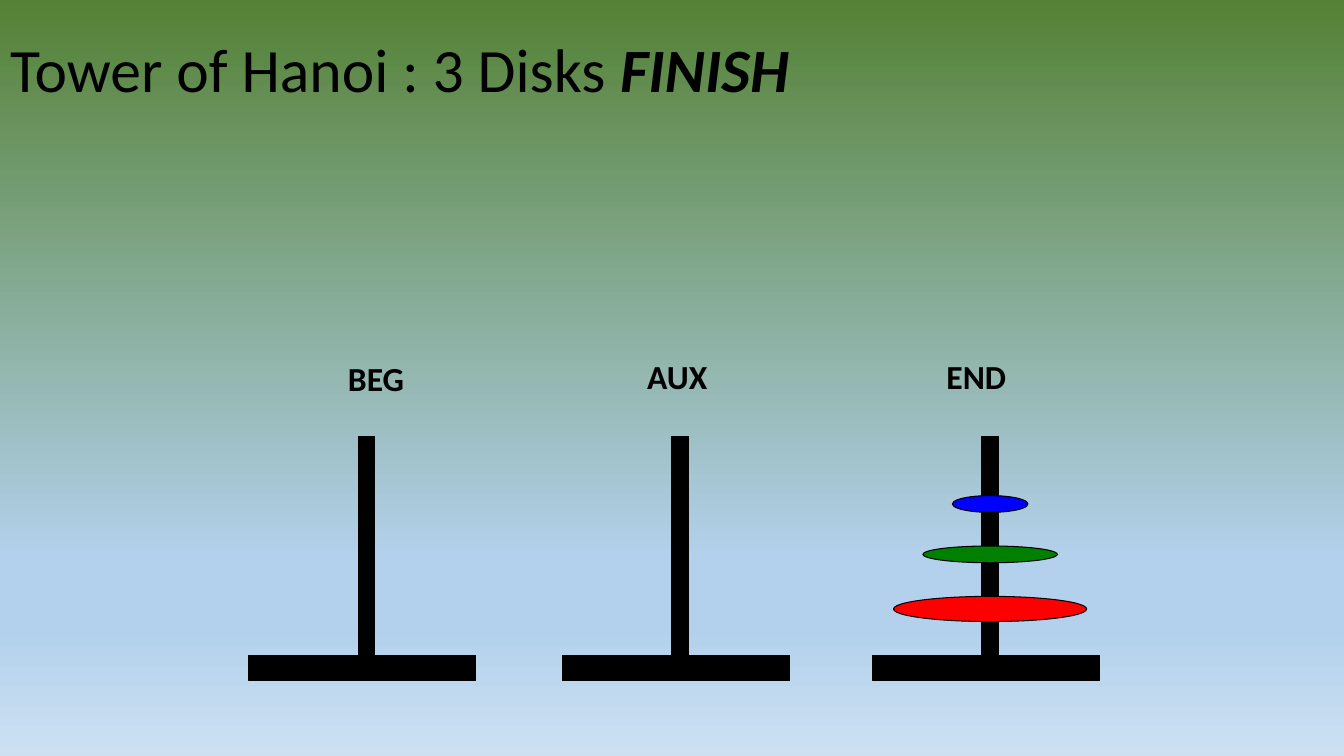
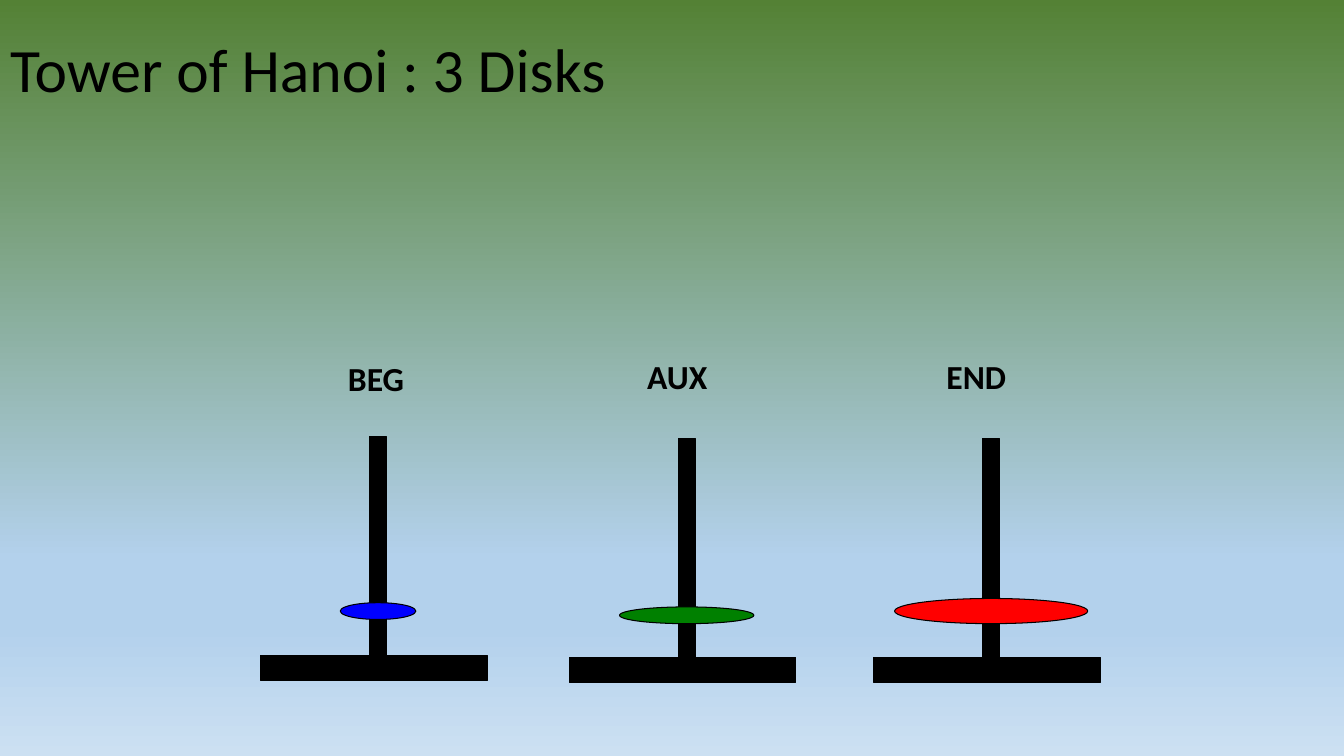
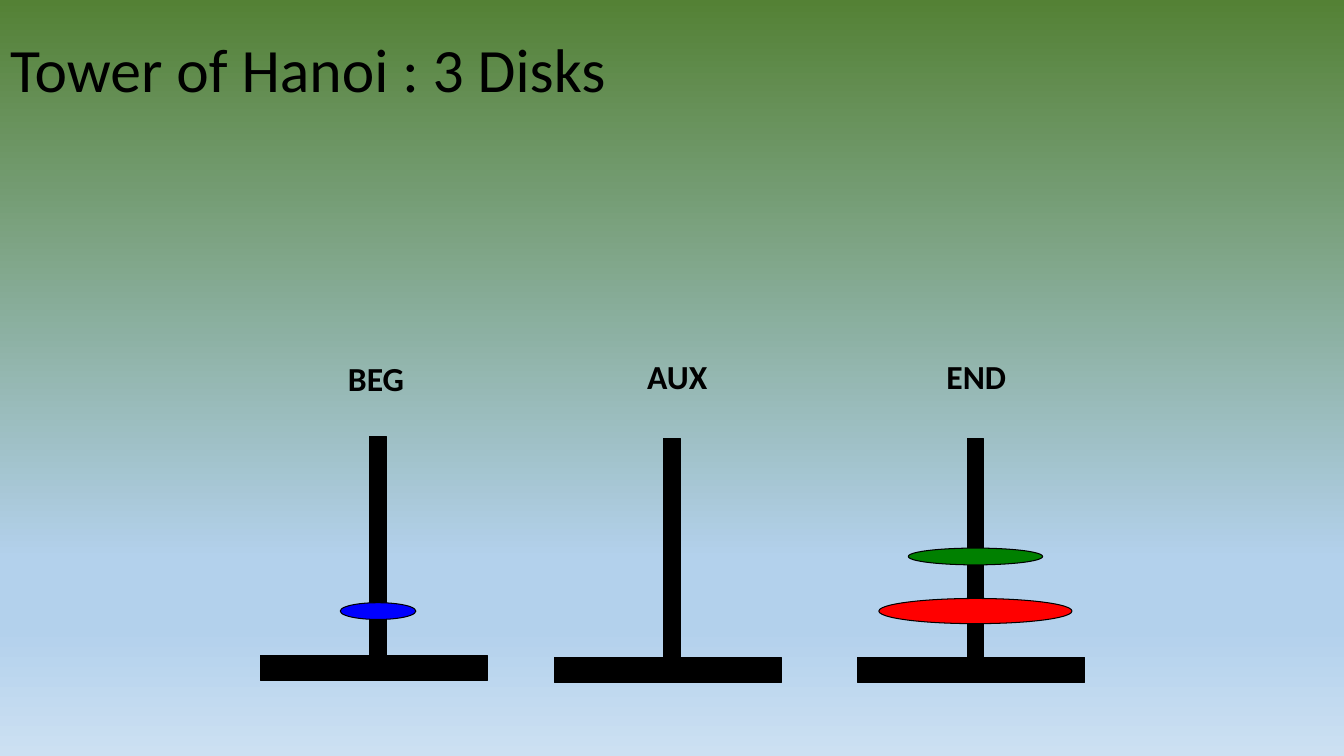
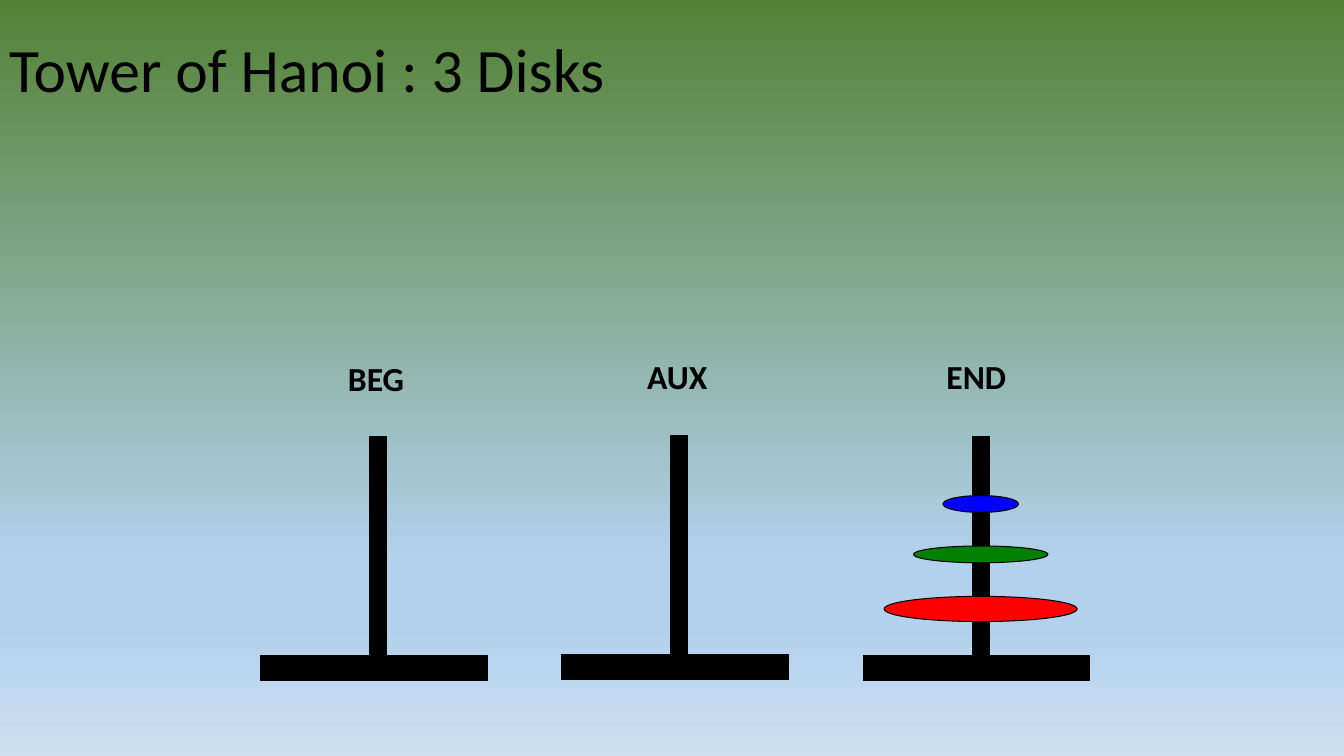
import copy

import pptx
import pptx.dml.color
import pptx.enum.shapes
import pptx.enum.text
import pptx.oxml.ns
import pptx.util

PX = 9525
SHAPE = pptx.enum.shapes.MSO_SHAPE
BLACK = "000000"
SKY = [(0, "548135"), (0.74, "B3D1EC"), (0.83, "B3D1EC"), (1, "CCE0F2")]
TITLE_FONT = {"name": "Calibri", "size": pptx.util.Pt(44)}
LABEL_FONT = {"name": "Calibri", "size": pptx.util.Pt(24), "bold": True}
TITLE_FRAME = {
    "word_wrap": True,
    "auto_size": pptx.enum.text.MSO_AUTO_SIZE.NONE,
    "vertical_anchor": pptx.enum.text.MSO_ANCHOR.MIDDLE,
}
TITLE_PARAGRAPH = {"alignment": pptx.enum.text.PP_ALIGN.LEFT, "line_spacing": 0.9}
LABELS = [("BEG", 322, 336, 74), ("AUX", 607, 334, 83), ("END", 892, 334, 88)]

BASE_WIDTH, BASE_HEIGHT = 216, 24
ROD_WIDTH, ROD_HEIGHT = 16, 208
ROD_OFFSET = 104
DISKS = {
    "red": ("FF0000", 184, 24),
    "green": ("008000", 128, 16),
    "blue": ("0000FF", 72, 16),
}
STACK = [("red", 152), ("green", 104), ("blue", 56)]

STEPS = [
    (0, "FINISH", [(237, 416, []), (536, 416, []), (831, 416, STACK)]),
    (0, "", [(248, 416, [("blue", 158)]), (542, 418, [("green", 160)]), (832, 418, STACK[:1])]),
    (0, "", [(248, 416, [("blue", 158)]), (528, 418, []), (817, 418, STACK[:2])]),
    (-1, "", [(248, 416, []), (535, 415, []), (822, 416, STACK)]),
]


def rgb(value):
    return pptx.dml.color.RGBColor.from_string(value)


def add_part(tower, kind, left, top, width, height, fill):
    part = tower.shapes.add_shape(kind, left * PX, top * PX, width * PX, height * PX)
    part.shadow.inherit = False
    part.fill.solid()
    part.fill.fore_color.rgb = rgb(fill)
    part.line.color.rgb = rgb(BLACK)
    part.line.width = pptx.util.Pt(0.75)


deck = pptx.Presentation()
deck.slide_width, deck.slide_height = 1280 * PX, 720 * PX

sky = deck.slide_master.background.fill
sky.gradient()
sky.gradient_angle = 270
stops = deck.slide_master.element.find(".//" + pptx.oxml.ns.qn("a:gsLst"))
for _ in SKY[2:]:
    stops.append(copy.deepcopy(stops[0]))
for stop, (position, tint) in zip(sky.gradient_stops, SKY):
    stop.position = position
    stop.color.rgb = rgb(tint)

for title_left, ending, towers in STEPS:
    slide = deck.slides.add_slide(deck.slide_layouts[5])

    title = slide.shapes.title
    title.left, title.top = title_left * PX, 0
    title.width, title.height = 1280 * PX, 139 * PX
    for key, value in TITLE_FRAME.items():
        setattr(title.text_frame, key, value)
    heading = title.text_frame.paragraphs[0]
    for key, value in TITLE_PARAGRAPH.items():
        setattr(heading, key, value)
    wording = [("Tower of Hanoi : 3 Disks", None)]
    if ending:
        wording = [("Tower of Hanoi : 3 Disks ", None), (ending, True)]
    for words, emphasis in wording:
        run = heading.add_run()
        run.text = words
        for key, value in {**TITLE_FONT, "bold": emphasis, "italic": emphasis}.items():
            setattr(run.font, key, value)
        run.font.color.rgb = rgb(BLACK)

    for base_left, rod_top, disks in towers:
        tower = slide.shapes.add_group_shape()
        rod_left = base_left + ROD_OFFSET
        add_part(tower, SHAPE.RECTANGLE, base_left, rod_top + ROD_HEIGHT, BASE_WIDTH, BASE_HEIGHT, BLACK)
        add_part(tower, SHAPE.RECTANGLE, rod_left, rod_top, ROD_WIDTH, ROD_HEIGHT, BLACK)
        for disk, drop in disks:
            fill, width, height = DISKS[disk]
            disk_left = rod_left + (ROD_WIDTH - width) // 2
            add_part(tower, SHAPE.OVAL, disk_left, rod_top + drop, width, height, fill)

    labels = slide.shapes.add_group_shape()
    for name, left, top, width in LABELS:
        label = labels.shapes.add_textbox(left * PX, top * PX, width * PX, 48 * PX)
        label.text_frame.word_wrap = True
        run = label.text_frame.paragraphs[0].add_run()
        run.text = name
        for key, value in LABEL_FONT.items():
            setattr(run.font, key, value)
        run.font.color.rgb = rgb(BLACK)

deck.save("out.pptx")
